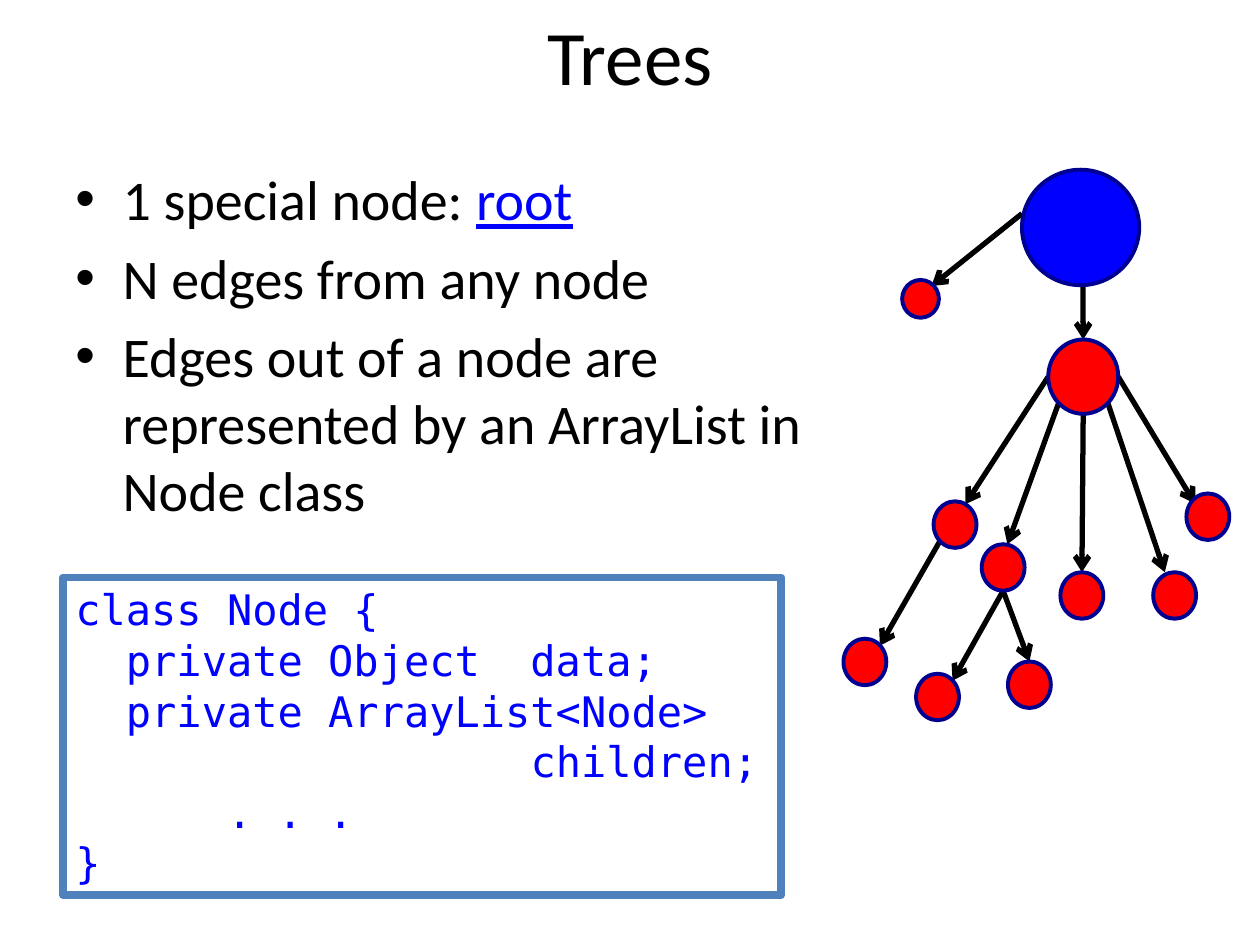
from lxml import etree
from pptx import Presentation
from pptx.dml.color import RGBColor
from pptx.enum.shapes import MSO_CONNECTOR, MSO_SHAPE
from pptx.enum.text import MSO_ANCHOR, PP_ALIGN
from pptx.oxml.ns import qn
from pptx.util import Pt

ELLIPSE, RECTANGLE = MSO_SHAPE.OVAL, MSO_SHAPE.RECTANGLE
STRAIGHT = MSO_CONNECTOR.STRAIGHT
MIDDLE, TOP = MSO_ANCHOR.MIDDLE, MSO_ANCHOR.TOP
CENTER, LEFT = PP_ALIGN.CENTER, PP_ALIGN.LEFT

BLACK = RGBColor(0, 0, 0)
WHITE = RGBColor(255, 255, 255)
BLUE = RGBColor(0, 0, 255)
RED = RGBColor(255, 0, 0)
NAVY = RGBColor(0, 0, 0x90)
STEEL = RGBColor(0x4F, 0x81, 0xBD)

BODY_FONT = "Calibri"
CODE_FONT = "DejaVu Sans Mono"
CODE_SIZE = 24
CODE_CHAR = 14.45
BULLET_INDENT = 27

BULLETS = [
    ["1 special node: ", "root"],
    ["N edges from any node"],
    ["Edges out of a node are represented by an ArrayList in Node class"],
]
CODE = [
    (0, "class Node {"),
    (2, "private Object  data;"),
    (2, "private ArrayList<Node>"),
    (18, "children;"),
    (6, ". . ."),
    (0, "}"),
]

LEAF = (24.5, 26.6)
NODES = {
    "root": (102, 0, 67, 66),
    "side": (33.5, 63, 21, 21.6),
    "hub": (117, 97, 40, 42.5),
    "first": (51.5, 189.5, *LEAF),
    "second": (79, 214, *LEAF),
    "third": (124, 230, *LEAF),
    "fourth": (177, 230, *LEAF),
    "fifth": (196, 185, *LEAF),
    "first child": (0, 268, *LEAF),
    "second left": (41.5, 288, *LEAF),
    "second right": (94, 281, *LEAF),
}
EDGES = [
    ("root", (0, 0.38), "side", (0.8, 0.16)),
    ("root", (0.52, 1), "hub", (0.5, 0)),
    ("hub", (0, 0.5), "first", (0.74, 0.06)),
    ("hub", (0.15, 0.85), "second", (0.6, 0)),
    ("hub", (0.5, 1), "third", (0.5, 0)),
    ("hub", (0.85, 0.85), "fourth", (0.27, 0)),
    ("hub", (1, 0.5), "fifth", (0.2, 0.22)),
    ("first", (0.15, 0.85), "first child", (0.85, 0.15)),
    ("second", (0.5, 1), "second left", (0.85, 0.15)),
    ("second", (0.5, 1), "second right", (0.5, 0)),
]


def style_run(run, font, size, color):
    run.font.name = font
    run.font.size = Pt(size)
    run.font.color.rgb = color


def style_shape(shape, fill, line, width):
    shape.shadow.inherit = False
    shape.fill.solid()
    shape.fill.fore_color.rgb = fill
    shape.line.color.rgb = line
    shape.line.width = Pt(width)


def add_title(slide, left, top, width, height):
    title = slide.shapes.add_textbox(Pt(left), Pt(top), Pt(width), Pt(height))
    frame = title.text_frame
    frame.word_wrap = True
    frame.vertical_anchor = MIDDLE
    frame.text = "Trees"
    frame.paragraphs[0].alignment = CENTER
    style_run(frame.paragraphs[0].runs[0], BODY_FONT, 44, BLACK)


def add_bullets(slide, left, top, width, height):
    body = slide.shapes.add_textbox(Pt(left), Pt(top), Pt(width), Pt(height))
    frame = body.text_frame
    frame.word_wrap = True
    for index, pieces in enumerate(BULLETS):
        point = frame.add_paragraph() if index else frame.paragraphs[0]
        point.space_before = Pt(6.4)
        properties = point._p.get_or_add_pPr()
        properties.set("marL", str(Pt(BULLET_INDENT)))
        properties.set("indent", str(-Pt(BULLET_INDENT)))
        etree.SubElement(properties, qn("a:buFont"), typeface="Arial")
        etree.SubElement(properties, qn("a:buChar"), char="•")
        for piece in pieces:
            run = point.add_run()
            run.text = piece
            is_term = piece == "root"
            style_run(run, BODY_FONT, 32, BLUE if is_term else BLACK)
            run.font.underline = is_term


def add_tree(slide, left, top):
    def anchor(node, fraction):
        x, y, width, height = NODES[node]
        return (Pt(left + x + fraction[0] * width),
                Pt(top + y + fraction[1] * height))

    for parent, start, child, end in EDGES:
        edge = slide.shapes.add_connector(
            STRAIGHT, *anchor(parent, start), *anchor(child, end))
        edge.line.color.rgb = BLACK
        edge.line.width = Pt(3)
        etree.SubElement(edge.line._get_or_add_ln(), qn("a:tailEnd"), type="arrow")
        etree.SubElement(edge._element.spPr, qn("a:effectLst"))

    for name, (x, y, width, height) in NODES.items():
        node = slide.shapes.add_shape(
            ELLIPSE, Pt(left + x), Pt(top + y), Pt(width), Pt(height))
        style_shape(node, BLUE if name == "root" else RED, NAVY, 2.25)


def add_code(slide, left, top, width, height):
    panel = slide.shapes.add_shape(
        RECTANGLE, Pt(left), Pt(top), Pt(width), Pt(height))
    style_shape(panel, WHITE, STEEL, 4.5)
    fill_color = panel._element.spPr.find(qn("a:solidFill"))[0]
    etree.SubElement(fill_color, qn("a:alpha"), val="87000")
    frame = panel.text_frame
    frame.word_wrap = True
    frame.vertical_anchor = TOP
    frame.text = "\n".join(code for _, code in CODE)
    for statement, (columns, _) in zip(frame.paragraphs, CODE):
        statement.alignment = LEFT
        statement.line_spacing = Pt(28.9)
        statement._p.get_or_add_pPr().set("marL", str(Pt(columns * CODE_CHAR)))
        style_run(statement.runs[0], CODE_FONT, CODE_SIZE, BLUE)


def main():
    deck = Presentation()
    deck.slide_width, deck.slide_height = Pt(720), Pt(540)
    slide = deck.slides.add_slide(deck.slide_layouts[6])
    add_title(slide, 36, -13.5, 648, 90)
    add_bullets(slide, 36, 90.5, 479.5, 356.5)
    add_tree(slide, 482, 97)
    add_code(slide, 36, 330, 410.5, 181.5)
    deck.save("out.pptx")


if __name__ == "__main__":
    main()
